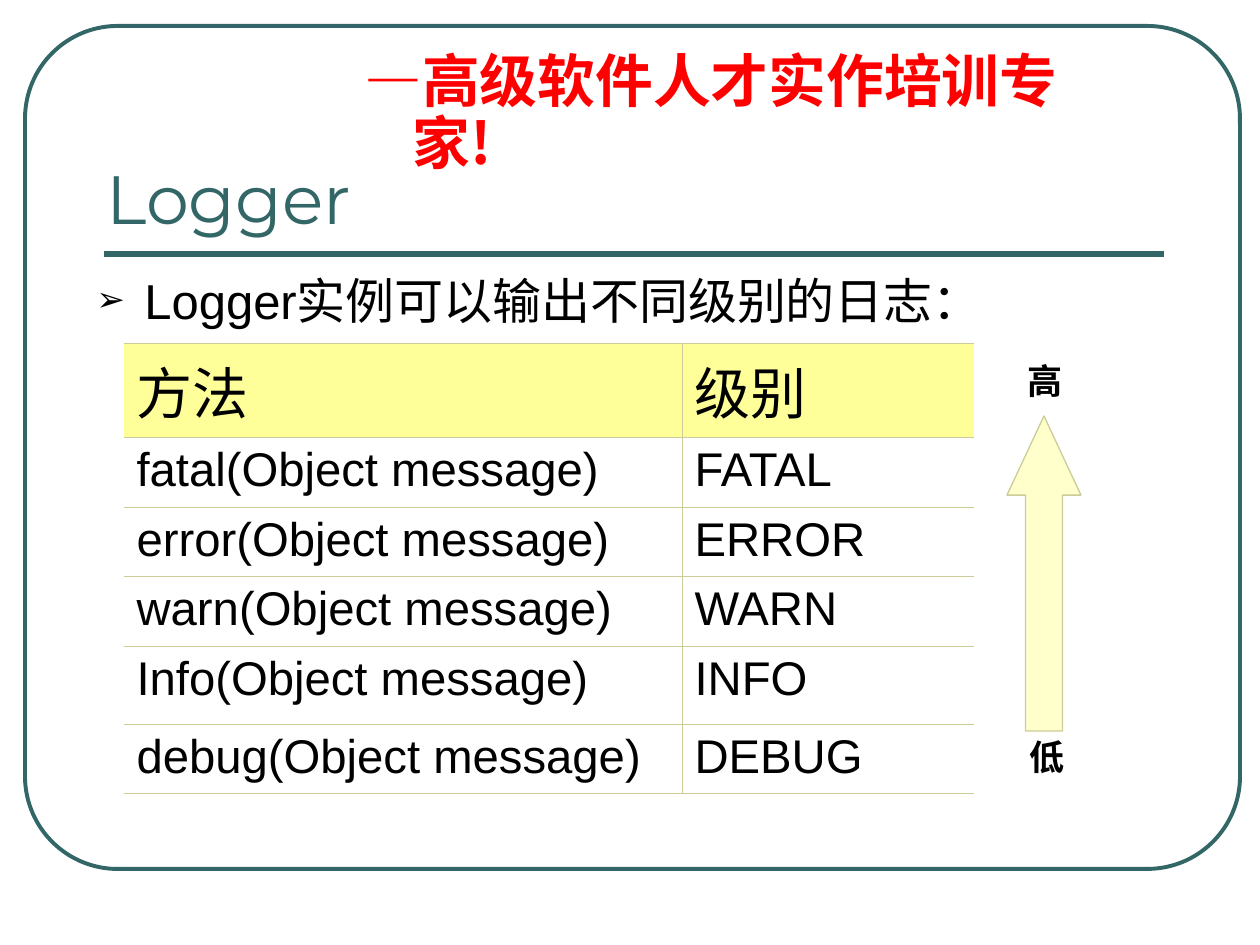
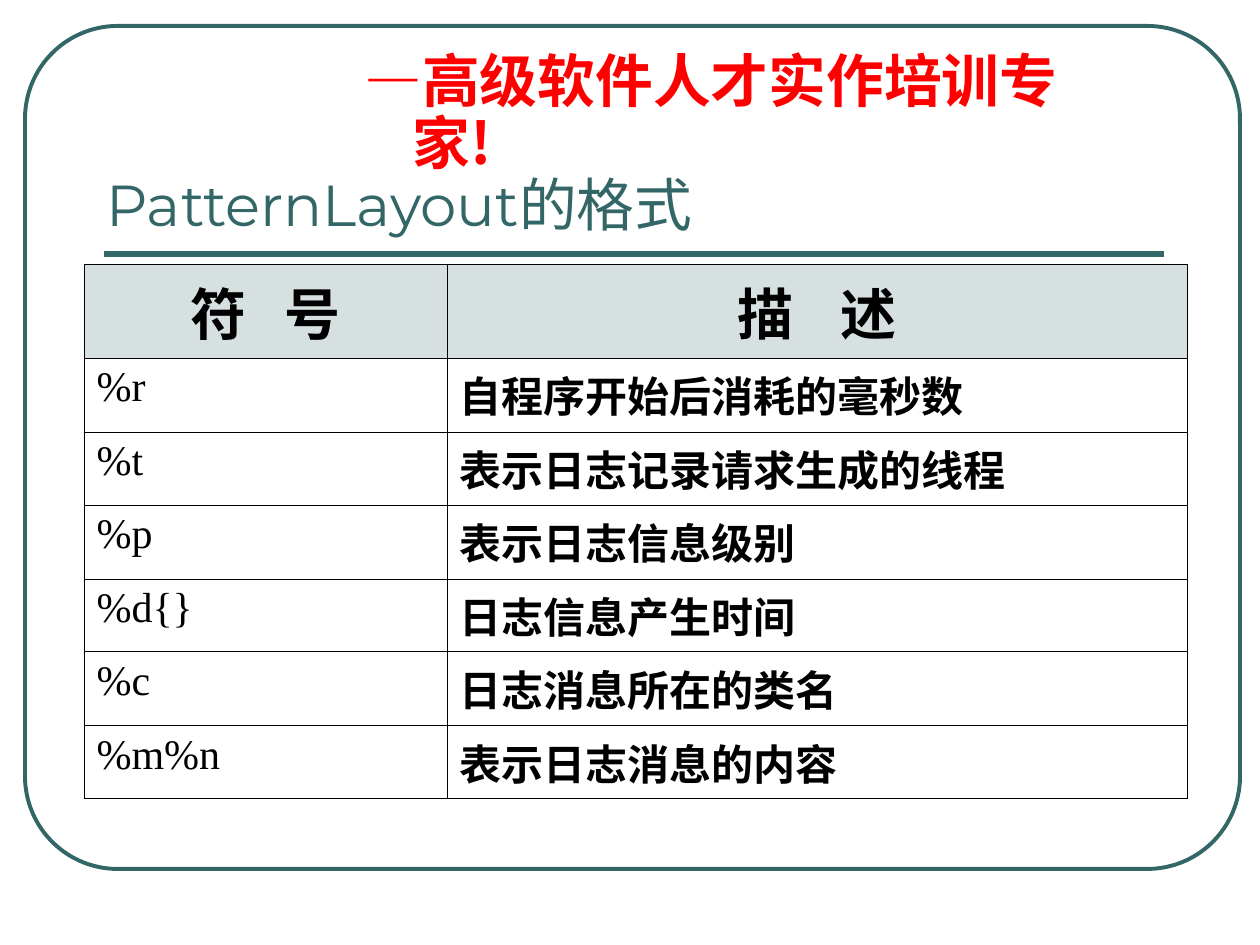
"""Build two slides about logging levels and pattern symbols."""
import dataclasses

import lxml.etree
import pptx
import pptx.dml.color
import pptx.enum.shapes
import pptx.enum.text
import pptx.oxml.ns
import pptx.util

PX = 914400 / 126
QN = pptx.oxml.ns.qn
SHAPES = pptx.enum.shapes.MSO_SHAPE
ALIGN = pptx.enum.text.PP_ALIGN


@dataclasses.dataclass(frozen=True)
class Theme:
    teal: str = "336666"
    red: str = "FF0000"
    black: str = "000000"
    white: str = "FFFFFF"
    header_yellow: str = "FFFF99"
    header_teal: str = "D6E0E0"
    arrow_fill: str = "FFFFCC"
    khaki: str = "CCCC99"
    title_font: str = "Montserrat"
    body_font: str = "Arial"
    serif_font: str = "Times New Roman"
    chinese_font: str = "Noto Sans CJK SC"
    logger_title_size: int = 39
    pattern_title_size: int = 33
    slogan_size: int = 33
    header_size: int = 32
    bullet_size: int = 28
    method_size: int = 27
    symbol_size: int = 24
    label_size: int = 20
    frame_width: float = 2.25
    rule_width: float = 3
    arrow_width: float = 0.75
    border_width: float = 0.45


THEME = Theme()


def px(length):
    return pptx.util.Emu(round(length * PX))


def rgb(colour):
    return pptx.dml.color.RGBColor.from_string(colour)


def add_child(parent, tag, **attributes):
    return lxml.etree.SubElement(parent, QN(tag), attributes)


def style_span(span, size, font, colour, bold=False):
    span.font.size = pptx.util.Pt(size)
    span.font.name = font
    span.font.bold = bold
    span.font.color.rgb = rgb(colour)
    add_child(span.font._element, "a:ea", typeface=THEME.chinese_font)


def style_line(line, colour, width):
    line.color.rgb = rgb(colour)
    line.width = pptx.util.Pt(width)


def add_text(page, area, text, size, font, colour, bold=False):
    box = page.shapes.add_textbox(*map(px, area))
    box.text_frame.word_wrap = True
    para = box.text_frame.paragraphs[0]
    para.text = text
    style_span(para.runs[0], size, font, colour, bold)
    return box


def hang_indent(para, space_before):
    para.space_before = pptx.util.Pt(space_before)
    properties = para._p.get_or_add_pPr()
    properties.set("marL", str(px(48)))
    properties.set("indent", str(-px(48)))
    return properties


def add_shape(page, kind, area, adjustments, colour, width, fill=None):
    shape = page.shapes.add_shape(kind, *map(px, area))
    shape.shadow.inherit = False
    for index, value in enumerate(adjustments):
        shape.adjustments[index] = value
    if fill:
        shape.fill.solid()
        shape.fill.fore_color.rgb = rgb(fill)
    else:
        shape.fill.background()
    style_line(shape.line, colour, width)


def add_page(deck, title, title_size):
    page = deck.slides.add_slide(deck.slide_layouts[6])
    add_shape(page, SHAPES.ROUNDED_RECTANGLE, (25, 26, 1215, 843), [0.11],
              THEME.teal, THEME.frame_width)
    rule = page.shapes.add_connector(
        pptx.enum.shapes.MSO_CONNECTOR.STRAIGHT, px(104), px(254), px(1164), px(254))
    style_line(rule.line, THEME.teal, THEME.rule_width)
    add_child(rule._element.spPr, "a:effectLst")
    slogan = add_text(page, (352, 46, 794, 76), "—高级软件人才实作培训专家!",
                      THEME.slogan_size, THEME.chinese_font, THEME.red, True)
    slogan.text_frame.margin_right = px(60)
    para = slogan.text_frame.paragraphs[0]
    para.line_spacing = 0.9
    hang_indent(para, 8.2)
    heading = add_text(page, (94, 46, 1061, 198), title, title_size,
                       THEME.title_font, THEME.teal)
    heading.text_frame.vertical_anchor = pptx.enum.text.MSO_ANCHOR.BOTTOM
    return page


def add_bullet(page, area, text):
    box = add_text(page, area, text, THEME.bullet_size, THEME.body_font, THEME.black)
    properties = hang_indent(box.text_frame.paragraphs[0], 7)
    colour = add_child(properties, "a:buClr")
    add_child(colour, "a:srgbClr", val=THEME.black)
    add_child(properties, "a:buSzPct", val="70000")
    add_child(properties, "a:buFont", typeface=THEME.body_font)
    add_child(properties, "a:buChar", char="➢")


def border_cell(cell, colour, open_sides):
    properties = cell._tc.get_or_add_tcPr()
    for index, side in enumerate(("lnL", "lnR", "lnT", "lnB")):
        line = lxml.etree.Element(
            QN(f"a:{side}"), w=str(pptx.util.Pt(THEME.border_width)))
        if side in open_sides:
            add_child(line, "a:noFill")
        else:
            fill = add_child(line, "a:solidFill")
            add_child(fill, "a:srgbClr", val=colour)
        properties.insert(index, line)


def add_table(page, corner, widths, heights, rows, font, size,
              header_fill, border, open_edges=False):
    area = (*corner, sum(widths), sum(heights))
    frame = page.shapes.add_table(len(rows), len(widths), *map(px, area))
    table = frame.table
    table.first_row = table.horz_banding = False
    for column, width in zip(table.columns, widths):
        column.width = px(width)
    for row, height in zip(table.rows, heights):
        row.height = px(height)
    for row_index, texts in enumerate(rows):
        for column_index, text in enumerate(texts):
            cell = table.cell(row_index, column_index)
            cell.fill.solid()
            cell.fill.fore_color.rgb = rgb(THEME.white if row_index else header_fill)
            para = cell.text_frame.paragraphs[0]
            para.text = text
            style_span(para.runs[0], size if row_index else THEME.header_size,
                       font, THEME.black)
            open_sides = ("lnL", "lnR")[column_index] if open_edges else ""
            border_cell(cell, border, open_sides)
    return table


def spread_header(cell, gap):
    para = cell.text_frame.paragraphs[0]
    para.alignment = ALIGN.CENTER
    first = para.runs[0]
    last = para.add_run()
    first.text, last.text = first.text[:-1], first.text[-1]
    style_span(last, THEME.header_size, THEME.serif_font, THEME.black, True)
    first.font.bold = True
    first.font._element.set("spc", str(gap * 100))


def build_logger(deck):
    page = add_page(deck, "Logger", THEME.logger_title_size)
    add_bullet(page, (84, 264, 1071, 73), "Logger实例可以输出不同级别的日志：")
    methods = ("fatal", "error", "warn", "Info", "debug")
    rows = [("方法", "级别")]
    rows += [(f"{name}(Object message)", name.upper()) for name in methods]
    add_table(page, (124, 343), (558, 292), (94, 70, 69, 70, 78, 69), rows,
              THEME.body_font, THEME.method_size, THEME.header_yellow,
              THEME.khaki, open_edges=True)
    add_shape(page, SHAPES.UP_ARROW, (1007, 416, 74, 315), [0.5, 1.07],
              THEME.khaki, THEME.arrow_width, THEME.arrow_fill)
    for text, area in (("低", (1017, 729, 63, 55)), ("高", (1015, 353, 57, 55))):
        add_text(page, area, text, THEME.label_size, THEME.body_font, THEME.black, True)


def build_pattern(deck):
    page = add_page(deck, "PatternLayout的格式", THEME.pattern_title_size)
    rows = [
        ("符 号", "描 述"),
        ("%r", "自程序开始后消耗的毫秒数"),
        ("%t", "表示日志记录请求生成的线程"),
        ("%p", "表示日志信息级别"),
        ("%d{}", "日志信息产生时间"),
        ("%c", "日志消息所在的类名"),
        ("%m%n", "表示日志消息的内容"),
    ]
    table = add_table(page, (84, 264), (363, 740), (94, 74, 73, 74, 73, 74, 73), rows,
                      THEME.serif_font, THEME.symbol_size, THEME.header_teal, THEME.black)
    for column_index, gap in enumerate((7, 10)):
        spread_header(table.cell(0, column_index), gap)
    for row_index in range(1, len(rows)):
        description = table.cell(row_index, 1).text_frame.paragraphs[0]
        description.runs[0].font.bold = True


def main():
    deck = pptx.Presentation()
    deck.slide_width, deck.slide_height = px(1260), px(945)
    build_logger(deck)
    build_pattern(deck)
    deck.save("out.pptx")


if __name__ == "__main__":
    main()
